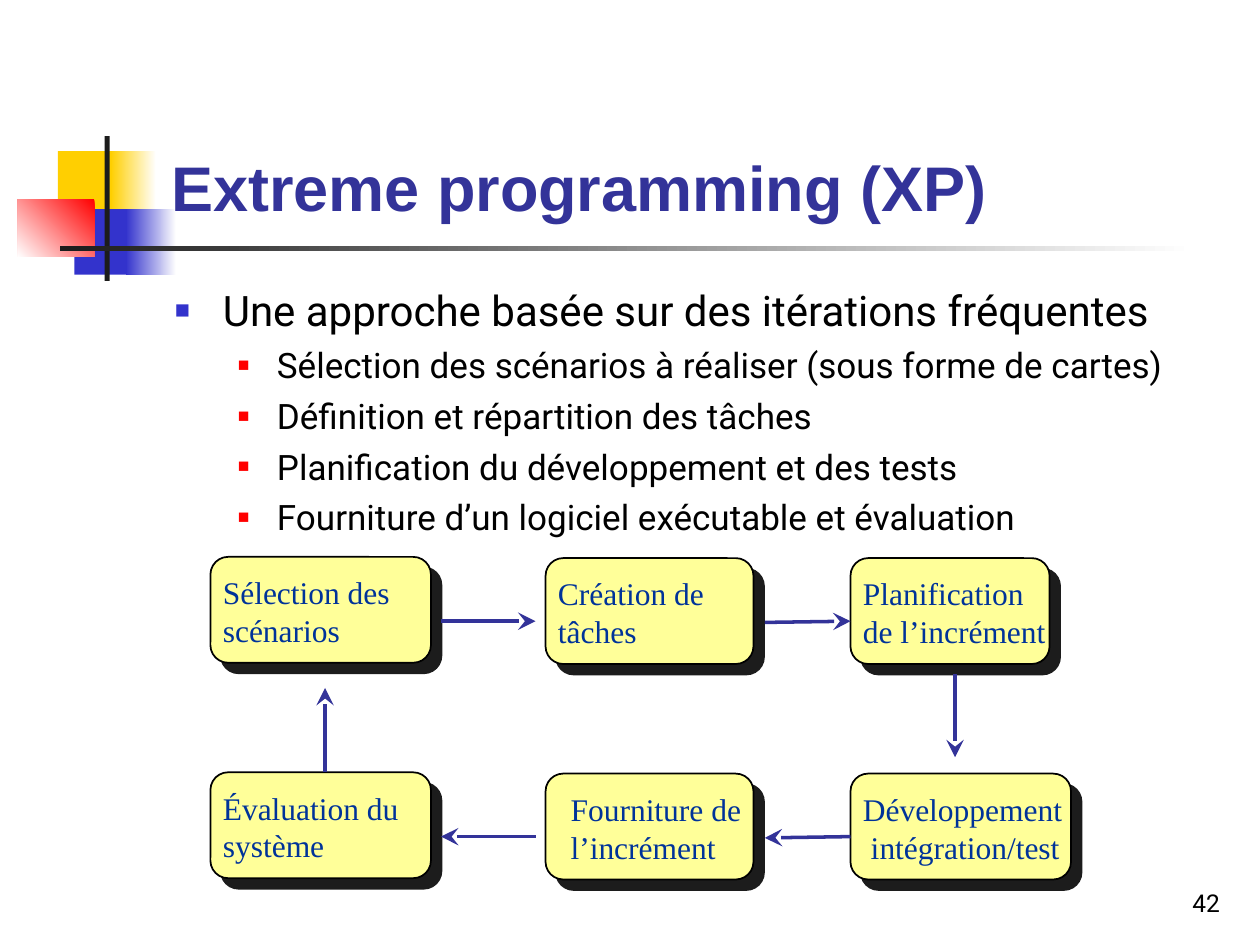
from dataclasses import dataclass

from lxml import etree
from pptx import Presentation
from pptx import util as u
from pptx.dml.color import RGBColor
from pptx.enum import shapes, text
from pptx.oxml import parse_xml
from pptx.oxml.ns import qn

PX = 9144
NS = 'xmlns:a="http://schemas.openxmlformats.org/drawingml/2006/main"'


@dataclass(frozen=True)
class Theme:
    """Colours, fonts and type sizes of the slide."""
    white: str = "FFFFFF"
    black: str = "000000"
    dark: str = "1C1C1C"
    gold: str = "FFCF01"
    blue: str = "3333CC"
    red: str = "FF0000"
    navy: str = "333399"
    ink: str = "003399"
    cream: str = "FFFF99"
    head: str = "Arial"
    body: str = "Roboto"
    serif: str = "Times New Roman"
    title: int = 36
    lead: int = 24
    item: int = 20
    step: int = 18
    page: int = 14


T = Theme()


def px(*vals):
    """Turn lengths in px into EMU."""
    return [u.Emu(v * PX) for v in vals]


def rgb(code):
    """Return the colour of a hex code."""
    return RGBColor.from_string(code)


def bullet(para, color, size, left, hang):
    """Give a paragraph a square bullet and a hanging indent."""
    props = para._p.get_or_add_pPr()
    props.set("marL", str(left * PX))
    props.set("indent", str(-hang * PX))
    for part in (f'<a:buClr {NS}><a:srgbClr val="{color}"/></a:buClr>',
                 f'<a:buSzPct {NS} val="{size * 1000}"/>',
                 f'<a:buFont {NS} typeface="Arial"/>',
                 f'<a:buChar {NS} char="■"/>'):
        props.append(parse_xml(part))


def style(para, size, font, color=T.black, bold=False):
    """Format every run of a paragraph."""
    for run in para.runs:
        run.font.size = u.Pt(size)
        run.font.name = font
        run.font.bold = bold
        run.font.color.rgb = rgb(color)


def write(slide, box, words, wrap=True, anchor=text.MSO_ANCHOR.TOP,
          align=text.PP_ALIGN.LEFT, **look):
    """Add a text box with one paragraph per line of words."""
    frame = slide.shapes.add_textbox(*px(*box)).text_frame
    frame.word_wrap = wrap
    frame.vertical_anchor = anchor
    for i, line in enumerate(words.split("\n")):
        para = frame.add_paragraph() if i else frame.paragraphs[0]
        para.text = line
        para.alignment = align
        style(para, **look)
    return frame


def block(slide, box, color, fade=None, angle=180):
    """Add a plain rectangle, solid or fading between two colours."""
    rect = slide.shapes.add_shape(shapes.MSO_SHAPE.RECTANGLE, *px(*box))
    rect.shadow.inherit = False
    rect.line.fill.background()
    if fade:
        rect.fill.gradient()
        rect.fill.gradient_angle = angle
        for stop, code in zip(rect.fill.gradient_stops, (color, fade)):
            stop.color.rgb = rgb(code)
    else:
        rect.fill.solid()
        rect.fill.fore_color.rgb = rgb(color)


def step(slide, left, top, width, words, shift=0):
    """Add a rounded card with a hard shadow and its label."""
    card = slide.shapes.add_shape(
        shapes.MSO_SHAPE.ROUNDED_RECTANGLE, *px(left, top, width, 84))
    card.fill.solid()
    card.fill.fore_color.rgb = rgb(T.cream)
    card.line.color.rgb = rgb(T.black)
    card.line.width = u.Pt(1)
    card.shadow.inherit = False
    card._element.spPr.find(qn("a:effectLst")).append(parse_xml(
        f'<a:outerShdw {NS} dist="{u.Pt(8.5)}" dir="2700000" algn="ctr" '
        f'rotWithShape="0"><a:srgbClr val="{T.dark}"/></a:outerShdw>'))
    write(slide, (left + shift, top + 8, width + 20, 70), words,
          size=T.step, font=T.serif, color=T.ink)


def arrow(slide, *ends):
    """Add a line with a stealth arrowhead at its end."""
    line = slide.shapes.add_connector(shapes.MSO_CONNECTOR.STRAIGHT, *px(*ends))
    line.line.color.rgb = rgb(T.navy)
    line.line.width = u.Pt(2)
    props = line._element.spPr
    etree.SubElement(props.find(qn("a:ln")), qn("a:tailEnd"),
                     type="stealth", w="lg", len="lg")
    etree.SubElement(props, qn("a:effectLst"))


def decor(slide):
    """Draw the coloured squares and the rules beside the title."""
    block(slide, (46, 120, 48, 52), T.gold)
    block(slide, (88, 120, 36, 52), T.white, T.gold)
    block(slide, (59, 166, 46, 52), T.blue)
    block(slide, (100, 166, 40, 52), T.white, T.blue)
    block(slide, (14, 158, 61, 46), T.red, T.white, angle=225)
    block(slide, (83, 108, 4, 115), T.dark)
    block(slide, (48, 195, 900, 4), T.white, T.dark)


def points(slide):
    """Write the lead sentence and its list."""
    frame = write(slide, (129, 221, 850, 217),
                  "Une approche basée sur des itérations fréquentes\n"
                  "Sélection des scénarios à réaliser (sous forme de cartes)\n"
                  "Définition et répartition des tâches\n"
                  "Planification du développement et des tests\n"
                  "Fourniture d’un logiciel exécutable et évaluation",
                  size=T.item, font=T.body)
    lead, *items = frame.paragraphs
    bullet(lead, T.blue, 60, 38, 38)
    style(lead, T.lead, T.body)
    for para in items:
        para.level = 1
        bullet(para, T.red, 55, 81, 31)
        para.space_before = u.Pt(5)


def cycle(slide):
    """Draw the six steps of the loop and the arrows between them."""
    step(slide, 167, 442, 175, "Sélection des\vscénarios")
    step(slide, 433, 443, 165, "Création de \vtâches")
    step(slide, 675, 443, 158, "Planification \vde l’incrément")
    step(slide, 675, 614, 175, "Développement \v intégration/test")
    step(slide, 433, 614, 165, "Fourniture de\nl’incrément", shift=10)
    step(slide, 167, 613, 175, "Évaluation du\vsystème")
    for ends in ((350, 493, 425, 493), (607, 494, 675, 493),
                 (758, 535, 758, 601), (675, 664, 607, 665),
                 (425, 664, 350, 664), (258, 613, 258, 546)):
        arrow(slide, *ends)


def main():
    """Build the slide and save it."""
    deck = Presentation()
    deck.slide_width, deck.slide_height = px(1000, 750)
    slide = deck.slides.add_slide(deck.slide_layouts[6])
    decor(slide)
    write(slide, (126, 23, 852, 160), "Extreme programming (XP)",
          anchor=text.MSO_ANCHOR.BOTTOM, size=T.title, font=T.head,
          color=T.navy, bold=True)
    points(slide)
    cycle(slide)
    write(slide, (770, 683, 208, 50), "42", anchor=text.MSO_ANCHOR.BOTTOM,
          align=text.PP_ALIGN.RIGHT, size=T.page, font=T.body)
    deck.save("out.pptx")


if __name__ == "__main__":
    main()
